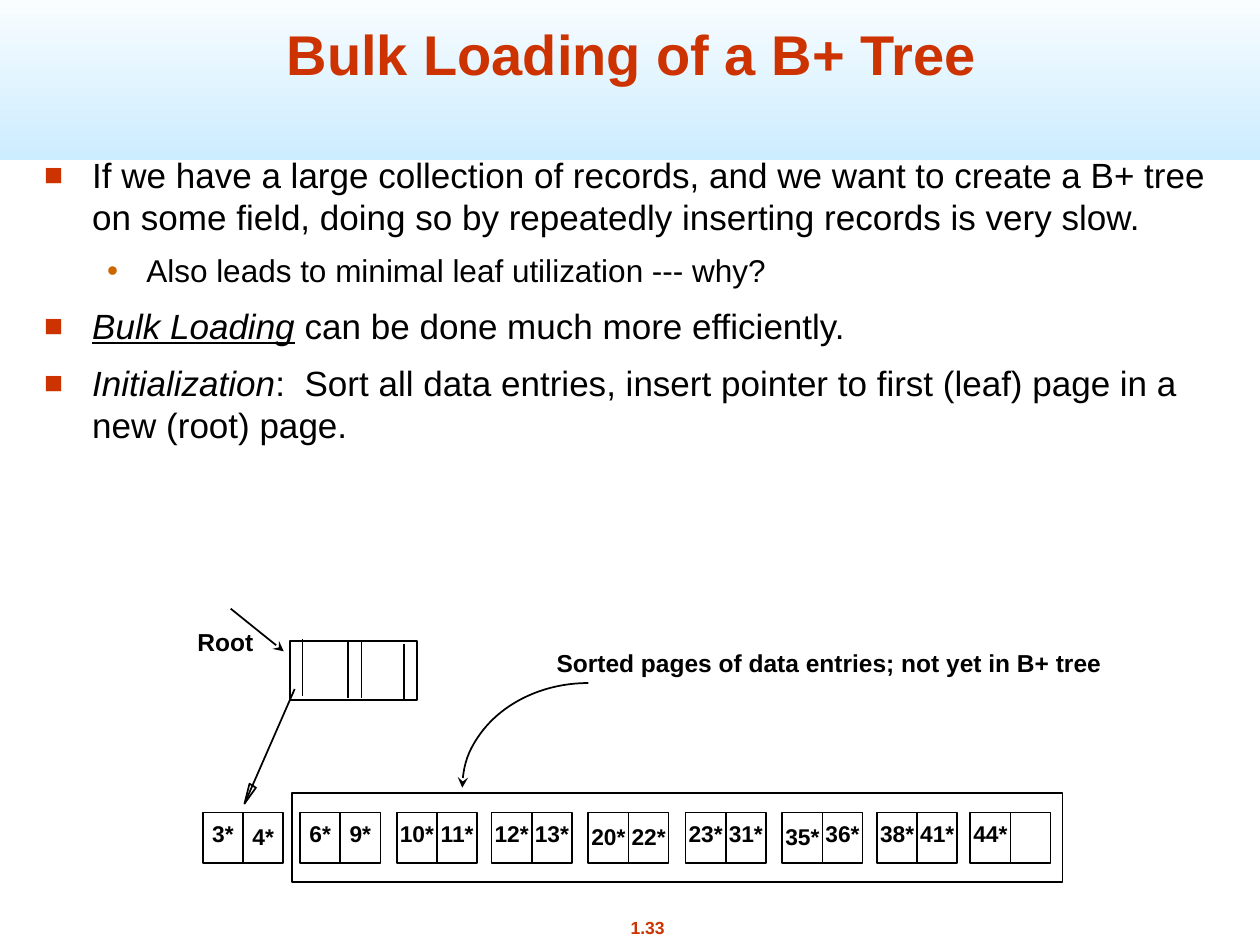
from typing import NamedTuple

from lxml import etree
from pptx import Presentation
from pptx.dml.color import RGBColor
from pptx.enum import shapes as kinds, text as modes
from pptx.oxml.ns import qn
from pptx.util import Cm, Pt

HUES = {"ink": "000000", "red": "CC3300", "gold": "CC6600",
        "white": "FFFFFF", "sky": "CCECFF"}
FONT = "Arial"
CELL, HIGH, TOP = 0.81, 1.02, 16.38


class Leaf(NamedTuple):
    left: float
    keys: tuple[str, ...]


class Span(NamedTuple):
    words: str
    ital: bool = False
    under: bool = False


class Item(NamedTuple):
    spans: tuple[Span, ...]
    level: int = 0


class Look(NamedTuple):
    """Format of one bullet level."""
    mark: str
    hue: str
    scale: int
    size: float
    left: float
    hang: float
    gap: float


LEAVES = [
    Leaf(4.09, ("3*", "4*")), Leaf(6.05, ("6*", "9*")),
    Leaf(8.0, ("10*", "11*")), Leaf(9.91, ("12*", "13*")),
    Leaf(11.86, ("20*", "22*")), Leaf(13.82, ("23*", "31*")),
    Leaf(15.77, ("35*", "36*")), Leaf(17.68, ("38*", "41*")),
    Leaf(19.56, ("44*",)),
]
LOW = {"4*", "20*", "22*", "35*"}  # keys set slightly lower in their cell

LOOKS = [Look("■", "red", 90, 20, 0.97, 0.97, 8.8),
         Look("•", "gold", 100, 18, 2.06, 0.79, 7.9)]
ITEMS = [
    Item((Span("If we have a large collection of records, and we want to create "
               "a B+ tree on some field, doing so by repeatedly inserting "
               "records is very slow."),)),
    Item((Span("Also leads to minimal leaf utilization --- why?"),), 1),
    Item((Span("Bulk Loading", True, True),
          Span(" can be done much more efficiently."))),
    Item((Span("Initialization", True),
          Span(":  Sort all data entries, insert pointer to first (leaf) page "
               "in a new (root) page."))),
]


def tint(name: str) -> RGBColor:
    return RGBColor.from_string(HUES[name])


def say(para, words: str, *, size: float = 14, hue: str = "ink", bold: bool = False,
        ital: bool = False, under: bool = False) -> None:
    run = para.add_run()
    run.text = words
    font = run.font
    font.name, font.size, font.bold = FONT, Pt(size), bold
    font.italic, font.underline = ital, under
    font.color.rgb = tint(hue)


def label(slide, words: str, left: float, top: float, wide: float, high: float,
          *, mid: bool = False, **form) -> None:
    frame = slide.shapes.add_textbox(Cm(left), Cm(top), Cm(wide), Cm(high)).text_frame
    frame.word_wrap = False
    para = frame.paragraphs[0]
    para.alignment = modes.PP_ALIGN.CENTER if mid else modes.PP_ALIGN.LEFT
    say(para, words, bold=True, **form)


def ink(shape) -> None:
    """Black outline only."""
    shape.shadow.inherit = False
    shape.fill.background()
    shape.line.color.rgb = tint("ink")
    shape.line.width = Pt(1)


def box(slide, left: float, top: float, wide: float, high: float) -> None:
    ink(slide.shapes.add_shape(kinds.MSO_SHAPE.RECTANGLE,
                               Cm(left), Cm(top), Cm(wide), Cm(high)))


def tip(shape, end: str) -> None:
    etree.SubElement(shape.line._get_or_add_ln(), qn("a:" + end), type="stealth")


def rule(slide, x1: float, y1: float, x2: float, y2: float):
    line = slide.shapes.add_connector(kinds.MSO_CONNECTOR.STRAIGHT,
                                      Cm(x1), Cm(y1), Cm(x2), Cm(y2))
    line.line.color.rgb = tint("ink")
    line.line.width = Pt(1)
    etree.SubElement(line._element.spPr, qn("a:effectLst"))
    return line


def head(slide) -> None:
    """Title over a shaded band."""
    title = slide.shapes.title
    title.left, title.top, title.width, title.height = Cm(1.52), Cm(0.18), Cm(22.43), Cm(1.7)
    frame = title.text_frame
    frame.auto_size = modes.MSO_AUTO_SIZE.NONE
    frame.vertical_anchor = modes.MSO_ANCHOR.BOTTOM
    frame.paragraphs[0].alignment = modes.PP_ALIGN.CENTER
    say(frame.paragraphs[0], "Bulk Loading of a B+ Tree", size=32, hue="red", bold=True)

    band = slide.shapes.add_shape(kinds.MSO_SHAPE.RECTANGLE,
                                  Cm(0), Cm(-0.43), Cm(25.4), Cm(3.66))
    band.shadow.inherit = False
    band.line.fill.background()
    band.fill.gradient()
    band.fill.gradient_angle = 270
    for stop, hue in zip(band.fill.gradient_stops, ("white", "sky")):
        stop.color.rgb = tint(hue)
    title.element.addprevious(band.element)


def bullet(para, look: Look) -> None:
    props = para._p.get_or_add_pPr()
    props.set("marL", str(Cm(look.left)))
    props.set("indent", str(-Cm(look.hang)))
    para.space_before = Pt(look.gap)
    color = etree.SubElement(props, qn("a:buClr"))
    etree.SubElement(color, qn("a:srgbClr"), val=HUES[look.hue])
    etree.SubElement(props, qn("a:buSzPct"), val=str(look.scale * 1000))
    etree.SubElement(props, qn("a:buFont"), typeface=FONT)
    etree.SubElement(props, qn("a:buChar"), char=look.mark)


def body(slide) -> None:
    frame = slide.shapes.add_textbox(Cm(0.64), Cm(2.97), Cm(24.56), Cm(11.43)).text_frame
    frame.word_wrap = True
    for i, item in enumerate(ITEMS):
        para = frame.add_paragraph() if i else frame.paragraphs[0]
        para.level = item.level
        look = LOOKS[item.level]
        bullet(para, look)
        for span in item.spans:
            say(para, span.words, size=look.size, ital=span.ital, under=span.under)


def row(slide) -> None:
    """Leaf pages, each with two cells."""
    for leaf in LEAVES:
        box(slide, leaf.left, TOP, 2 * CELL, HIGH)
        rule(slide, leaf.left + CELL, TOP, leaf.left + CELL, TOP + HIGH)
        for i, key in enumerate(leaf.keys):
            wide = 0.94 if len(key) == 2 else 1.19
            left = leaf.left + (i + 0.5) * CELL - wide / 2
            label(slide, key, left, 16.46 if key in LOW else 16.41, wide, 0.81,
                  size=13, mid=True)
    box(slide, 5.88, 15.98, 15.54, 1.8)


def root(slide) -> None:
    box(slide, 5.84, 12.93, 2.57, 1.18)
    for x, y in ((6.1, 12.88), (7.01, 12.93), (7.29, 12.93), (8.15, 12.98)):
        rule(slide, x, y, x, y + 1.15)
    rule(slide, 5.94, 13.89, 4.93, 16.2)
    pen = slide.shapes.build_freeform(Cm(5.16), Cm(15.88))
    pen.add_line_segments([(Cm(4.93), Cm(16.2)), (Cm(5.03), Cm(15.8))])
    ink(pen.convert_to_shape())
    label(slide, "Root", 3.73, 12.52, 1.65, 0.84)
    tip(rule(slide, 4.65, 12.27, 5.72, 13.13), "tailEnd")


def note(slide) -> None:
    label(slide, "Sorted pages of data entries; not yet in B+ tree",
          10.97, 12.93, 11.51, 0.84)
    arc = slide.shapes.add_shape(kinds.MSO_SHAPE.ARC,
                                 Cm(9.32), Cm(13.77), Cm(5.08), Cm(4.22))
    arc.adjustments[0], arc.adjustments[1] = 108, 162  # left side to top
    ink(arc)
    tip(arc, "headEnd")


def main() -> None:
    deck = Presentation()
    deck.slide_width, deck.slide_height = Cm(25.4), Cm(19.05)
    slide = deck.slides.add_slide(deck.slide_layouts[5])
    head(slide)
    label(slide, "1.33", 11.81, 18.36, 2.49, 0.69, size=10, hue="red", mid=True)
    body(slide)
    row(slide)
    root(slide)
    note(slide)
    deck.save("out.pptx")


if __name__ == "__main__":
    main()
